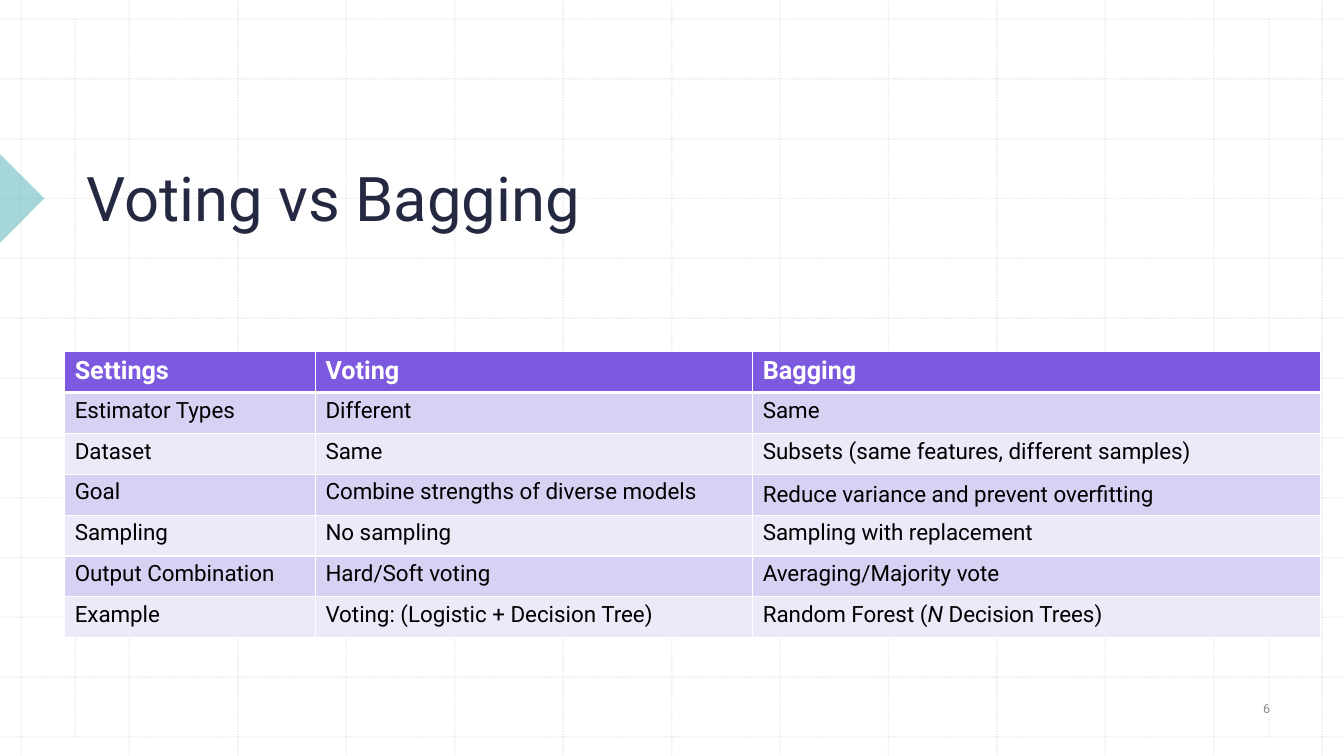
"""Build the slide that compares voting with bagging."""
from lxml import etree
from pptx import Presentation
from pptx.dml.color import RGBColor
from pptx.enum.dml import MSO_LINE
from pptx.enum.shapes import MSO_CONNECTOR, MSO_SHAPE
from pptx.enum.text import MSO_ANCHOR, PP_ALIGN
from pptx.oxml.ns import qn
from pptx.util import Cm, Pt

TITLE = "Voting vs Bagging"
PAGE_NUMBER = "6"
ROWS = [
    ("Settings", "Voting", "Bagging"),
    ("Estimator Types", "Different", "Same"),
    ("Dataset", "Same", "Subsets (same features, different samples)"),
    ("Goal", "Combine strengths of diverse models", "Reduce variance and prevent overfitting"),
    ("Sampling", "No sampling", "Sampling with replacement"),
    ("Output Combination", "Hard/Soft voting", "Averaging/Majority vote"),
    ("Example", "Voting: (Logistic + Decision Tree)",
     ("Random Forest (", "N", " Decision Trees)")),
]
MIDDLE_CELL = (3, 2)

WHITE = RGBColor(0xFF, 0xFF, 0xFF)
BLACK = RGBColor(0x00, 0x00, 0x00)
NAVY = RGBColor(0x24, 0x29, 0x41)
GREY = RGBColor(0x8C, 0x8C, 0x8C)
GRID_GREY = RGBColor(0xBC, 0xBC, 0xBC)
TEAL = RGBColor(0x4D, 0xB0, 0xB2)
PURPLE = RGBColor(0x7D, 0x59, 0xE0)
BANDS = (RGBColor(0xEC, 0xEA, 0xF9), RGBColor(0xD7, 0xD1, 0xF3))

DOTTED = MSO_LINE.ROUND_DOT
STRAIGHT = MSO_CONNECTOR.STRAIGHT
RIGHT_TRIANGLE = MSO_SHAPE.RIGHT_TRIANGLE
TOP, MIDDLE, BOTTOM = MSO_ANCHOR.TOP, MSO_ANCHOR.MIDDLE, MSO_ANCHOR.BOTTOM
LEFT, CENTER = PP_ALIGN.LEFT, PP_ALIGN.CENTER

FONT = "Roboto"
TITLE_FORMAT = {"name": FONT, "size": Pt(44)}
NUMBER_FORMAT = {"name": FONT, "size": Pt(9)}
HEADER_FORMAT = {"name": FONT, "size": Pt(18), "bold": True}
BODY_FORMAT = {"name": FONT, "size": Pt(16), "bold": False}

WIDTH, HEIGHT = 33.87, 19.05
GRID_STEPS = 12
GRID_LEFT, GRID_RIGHT = 0.53, 33.32
GRID_TOP, GRID_BOTTOM = 0.48, 18.57
MARGIN_LINES = (1.9, 31.98)
TABLE_LEFT, TABLE_TOP = 1.63, 8.86
COLUMN_WIDTHS = (6.32, 11.02, 14.3)
ROW_HEIGHT = 1.03


def set_alpha(fill, percent):
    color = fill.find(".//" + qn("a:srgbClr"))
    etree.SubElement(color, qn("a:alpha"), val=str(percent * 1000))


def add_grid_line(page, x1, y1, x2, y2):
    line = page.shapes.add_connector(STRAIGHT, Cm(x1), Cm(y1), Cm(x2), Cm(y2))
    line.line.color.rgb = GRID_GREY
    line.line.width = Pt(1)
    line.line.dash_style = DOTTED
    properties = line._element.spPr
    set_alpha(properties, 30)
    etree.SubElement(properties, qn("a:effectLst"))


def add_grid(page):
    for step in range(GRID_STEPS + 1):
        x = GRID_LEFT + step * (GRID_RIGHT - GRID_LEFT) / GRID_STEPS
        y = GRID_TOP + step * (GRID_BOTTOM - GRID_TOP) / GRID_STEPS
        add_grid_line(page, x, 0, x, HEIGHT)
        add_grid_line(page, 0, y, WIDTH, y)
    for x in MARGIN_LINES:
        add_grid_line(page, x, GRID_TOP, x, GRID_BOTTOM)


def add_marker(page):
    marker = page.shapes.add_shape(RIGHT_TRIANGLE, Cm(-0.79), Cm(4.21), Cm(1.58), Cm(1.58))
    marker.rotation = 225
    marker.shadow.inherit = False
    marker.fill.solid()
    marker.fill.fore_color.rgb = TEAL
    set_alpha(marker._element.spPr, 50)
    marker.line.fill.background()


def add_span(para, text, formats, color):
    span = para.add_run()
    span.text = text
    for name, value in formats.items():
        setattr(span.font, name, value)
    span.font.color.rgb = color
    return span


def add_text(page, text, place, formats, color, anchor, align):
    box = page.shapes.add_textbox(*map(Cm, place))
    box.text_frame.word_wrap = True
    box.text_frame.vertical_anchor = anchor
    para = box.text_frame.paragraphs[0]
    para.alignment = align
    add_span(para, text, formats, color)


def set_borders(cell, row):
    widths = {"L": 1, "R": 1, "T": 3 if row == 1 else 1, "B": 3 if row == 0 else 1}
    properties = cell._tc.get_or_add_tcPr()
    for index, (side, width) in enumerate(widths.items()):
        border = etree.Element(qn("a:ln" + side), w=str(Pt(width)))
        fill = etree.SubElement(border, qn("a:solidFill"))
        etree.SubElement(fill, qn("a:srgbClr"), val=str(WHITE))
        properties.insert(index, border)


def add_comparison(page):
    frame = page.shapes.add_table(
        len(ROWS), len(COLUMN_WIDTHS), Cm(TABLE_LEFT), Cm(TABLE_TOP),
        Cm(sum(COLUMN_WIDTHS)), Cm(ROW_HEIGHT * len(ROWS)))
    table = frame.table
    for column, width in zip(table.columns, COLUMN_WIDTHS):
        column.width = Cm(width)
    for r, texts in enumerate(ROWS):
        table.rows[r].height = Cm(ROW_HEIGHT)
        for c, text in enumerate(texts):
            cell = table.cell(r, c)
            cell.vertical_anchor = MIDDLE if (r, c) == MIDDLE_CELL else TOP
            cell.fill.solid()
            cell.fill.fore_color.rgb = BANDS[r % 2] if r else PURPLE
            set_borders(cell, r)
            para = cell.text_frame.paragraphs[0]
            parts = (text,) if isinstance(text, str) else text
            for index, part in enumerate(parts):
                span = add_span(para, part, BODY_FORMAT if r else HEADER_FORMAT,
                                BLACK if r else WHITE)
                span.font.italic = index == 1


def main():
    deck = Presentation()
    deck.slide_width, deck.slide_height = Cm(WIDTH), Cm(HEIGHT)
    page = deck.slides.add_slide(deck.slide_layouts[6])
    add_grid(page)
    add_marker(page)
    add_text(page, TITLE, (1.93, 2.01, 28.68, 4.01), TITLE_FORMAT, NAVY, BOTTOM, LEFT)
    add_text(page, PAGE_NUMBER, (30.56, 17.27, 2.72, 1.17), NUMBER_FORMAT, GREY, MIDDLE, CENTER)
    add_comparison(page)
    deck.save("out.pptx")


if __name__ == "__main__":
    main()
